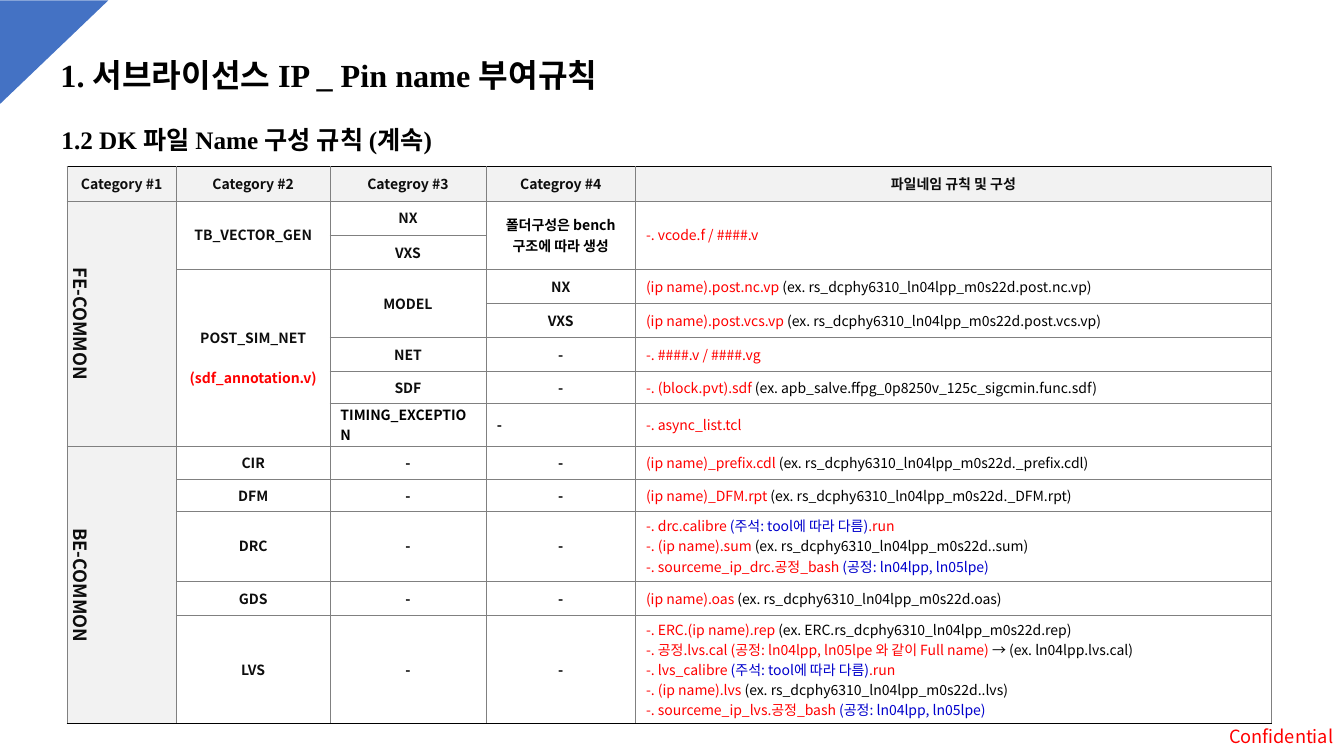
from dataclasses import dataclass
from lxml.etree import SubElement
from pptx import Presentation
from pptx.dml.color import RGBColor
from pptx.enum.shapes import MSO_SHAPE
from pptx.enum.text import MSO_ANCHOR, PP_ALIGN
from pptx.oxml.ns import qn
from pptx.util import Cm, Pt

TITLE = "1. 서브라이선스 IP _ Pin name 부여규칙"
SUB = "1.2 DK 파일 Name 구성 규칙 (계속)"
MARK = "Confidential"
DASH = [[("black", "-")]]
NOTE = ("blue", "(주석: tool에 따라 다름)")
NODES = ("blue", "(공정: ln04lpp, ln05lpe)")


def rule(name, sample=""):
    """Give one line: a red pattern and a black sample."""
    return [("red", name), ("black", sample)] if sample else [("red", name)]


ROWS = [
    ["Category #1", "Category #2", "Categroy #3", "Categroy #4", "파일네임 규칙 및 구성"],
    ["FE-COMMON", "TB_VECTOR_GEN", "NX",
     [[("black", "폴더구성은 bench")], [("black", "구조에 따라 생성")]],
     [rule("-. vcode.f / ####.v")]],
    [None, None, "VXS", None, None],
    [None, [[("dark", "POST_SIM_NET")], [("red", "(sdf_annotation.v)")]], "MODEL", "NX",
     [rule("(ip name).post.nc.vp ", "(ex. rs_dcphy6310_ln04lpp_m0s22d.post.nc.vp)")]],
    [None, None, None, "VXS",
     [rule("(ip name).post.vcs.vp ", "(ex. rs_dcphy6310_ln04lpp_m0s22d.post.vcs.vp)")]],
    [None, None, "NET", "-", [rule("-. ####.v / ####.vg")]],
    [None, None, "SDF", "-",
     [rule("-. (block.pvt).sdf ", "(ex. apb_salve.ffpg_0p8250v_125c_sigcmin.func.sdf)")]],
    [None, None, [[("black", "TIMING_EXCEPTION")]], DASH, [rule("-. async_list.tcl")]],
    ["BE-COMMON", "CIR", DASH, DASH,
     [rule("(ip name)_prefix.cdl ", "(ex. rs_dcphy6310_ln04lpp_m0s22d._prefix.cdl)")]],
    [None, "DFM", DASH, DASH,
     [rule("(ip name)_DFM.rpt ", "(ex. rs_dcphy6310_ln04lpp_m0s22d._DFM.rpt)")]],
    [None, "DRC", DASH, DASH,
     [[("red", "-. drc.calibre "), NOTE, ("red", ".run")],
      rule("-. (ip name).sum ", "(ex. rs_dcphy6310_ln04lpp_m0s22d..sum)"),
      [("red", "-. sourceme_ip_drc.공정_bash "), NODES]]],
    [None, "GDS", DASH, DASH,
     [rule("(ip name).oas ", "(ex. rs_dcphy6310_ln04lpp_m0s22d.oas)")]],
    [None, "LVS", DASH, DASH,
     [rule("-. ERC.(ip name).rep ", "(ex. ERC.rs_dcphy6310_ln04lpp_m0s22d.rep)"),
      rule("-. 공정.lvs.cal (공정: ln04lpp, ln05lpe 와 같이 Full name) ",
           "→ (ex. ln04lpp.lvs.cal)"),
      [("red", "-. lvs_calibre "), NOTE, ("red", ".run")],
      rule("-. (ip name).lvs ", "(ex. rs_dcphy6310_ln04lpp_m0s22d..lvs)"),
      [("red", "-. sourceme_ip_lvs.공정_bash "), NODES]]],
]
WIDTHS = [2.77, 3.86, 3.94, 3.76, 16.03]
HEIGHTS = [0.86] * 6 + [0.79, 1.1, 0.83, 0.79, 1.77, 0.86, 2.74]
LEFT_ROW = 7
SPLIT = (3, 1)


@dataclass(frozen=True)
class Theme:
    """Hold the colours, fonts and type sizes."""
    black: str = "000000"
    dark: str = "0D0D0D"
    red: str = "FF0000"
    blue: str = "0000CC"
    shade: str = "F2F2F2"
    grid: str = "808080"
    accent: str = "4472C4"
    serif: str = "Times New Roman"
    sans: str = "Noto Sans CJK KR"
    title: int = 23
    sub: int = 18
    side: int = 13
    cell: int = 10
    gap: float = 14.4


LOOK = Theme()


def tint(name):
    """Return a theme colour."""
    return RGBColor.from_string(getattr(LOOK, name))


def write(frame, lines, size, face=LOOK.sans, bold=False, align=PP_ALIGN.LEFT, gap=0):
    """Write lines of coloured runs into a text frame."""
    frame.word_wrap = True
    for n, line in enumerate(lines):
        para = frame.add_paragraph() if n else frame.paragraphs[0]
        para.alignment = align
        if n and gap:
            para.space_before = Pt(gap)
        for key, text in line:
            run = para.add_run()
            run.text = text
            font = run.font
            font.size, font.bold, font.name = Pt(size), bold, face
            font.color.rgb = tint(key)
            SubElement(run._r.get_or_add_rPr(), qn("a:ea"), typeface=LOOK.sans)


def place(shape, left, top, width, height):
    """Move and size a shape in centimetres."""
    shape.left, shape.top = Cm(left), Cm(top)
    shape.width, shape.height = Cm(width), Cm(height)


def edge(props, side, key, width):
    """Add one border to a cell."""
    line = SubElement(props, qn("a:ln" + side), w=str(Pt(width)))
    SubElement(SubElement(line, qn("a:solidFill")), qn("a:srgbClr"), val=getattr(LOOK, key))


def span(row, col):
    """Count the rows that a cell covers."""
    end = row + 1
    while end < len(ROWS) and ROWS[end][col] is None:
        end += 1
    return end - row


def style(cell, row, col, count):
    """Set the borders, fill and margins of a cell."""
    props = cell._tc.get_or_add_tcPr()
    heavy = {"T": row == 0, "B": row + count == len(ROWS)}
    for side in "LRTB":
        edge(props, side, *(("black", 1) if heavy.get(side) else ("grid", 0.25)))
    if row == 0 or col == 0:
        cell.fill.solid()
        cell.fill.fore_color.rgb = tint("shade")
    else:
        cell.fill.background()
    cell.vertical_anchor = MSO_ANCHOR.MIDDLE
    cell.margin_left = cell.margin_right = Cm(0.27)
    cell.margin_top = cell.margin_bottom = Cm(0.03)


def build_table(slide):
    """Build the table of file name rules."""
    table = slide.shapes.add_table(len(ROWS), len(WIDTHS), Cm(1.68), Cm(4.2),
                                   Cm(sum(WIDTHS)), Cm(sum(HEIGHTS))).table
    table.first_row = table.horz_banding = False
    for part, width in zip(table.columns, WIDTHS):
        part.width = Cm(width)
    for part, height in zip(table.rows, HEIGHTS):
        part.height = Cm(height)
    for row, items in enumerate(ROWS):
        for col, item in enumerate(items):
            cell = table.cell(row, col)
            count = span(row, col)
            style(cell, row, col, count)
            if item is None:
                continue
            if count > 1:
                cell.merge(table.cell(row + count - 1, col))
            side = col == 0 and row > 0
            if side:
                cell._tc.get_or_add_tcPr().set("vert", "vert")
            lines = [[("dark", item)]] if isinstance(item, str) else item
            left = row == LEFT_ROW or (row > 0 and col == 4)
            write(cell.text_frame, lines, LOOK.side if side else LOOK.cell,
                  bold=row == 0 or col < 4,
                  align=PP_ALIGN.LEFT if left else PP_ALIGN.CENTER,
                  gap=LOOK.gap if (row, col) == SPLIT else 0)


def main():
    """Build and save the slide."""
    deck = Presentation()
    deck.slide_width, deck.slide_height = Cm(33.87), Cm(19.05)
    slide = deck.slides.add_slide(deck.slide_layouts[5])
    shapes = slide.shapes
    title = shapes.title
    place(title, 1.27, 1.27, 17.1, 1.24)
    title.text_frame.vertical_anchor = MSO_ANCHOR.TOP
    write(title.text_frame, [[("black", TITLE)]], LOOK.title, LOOK.serif, True)
    wedge = shapes.add_shape(MSO_SHAPE.RIGHT_TRIANGLE, Cm(0.05), Cm(-0.05), Cm(2.62), Cm(2.74))
    wedge.rotation = 90
    wedge.shadow.inherit = False
    wedge.fill.solid()
    wedge.fill.fore_color.rgb = tint("accent")
    wedge.line.fill.background()
    build_table(slide)
    sub = shapes.add_textbox(Cm(1.3), Cm(3), Cm(13.44), Cm(1.02))
    write(sub.text_frame, [[("black", SUB)]], LOOK.sub, LOOK.serif, True)
    mark = shapes.add_textbox(Cm(27.58), Cm(18.16), Cm(6.27), Cm(0.81))
    write(mark.text_frame, [[("red", MARK)]], LOOK.side, align=PP_ALIGN.RIGHT)
    deck.save("out.pptx")


if __name__ == "__main__":
    main()
